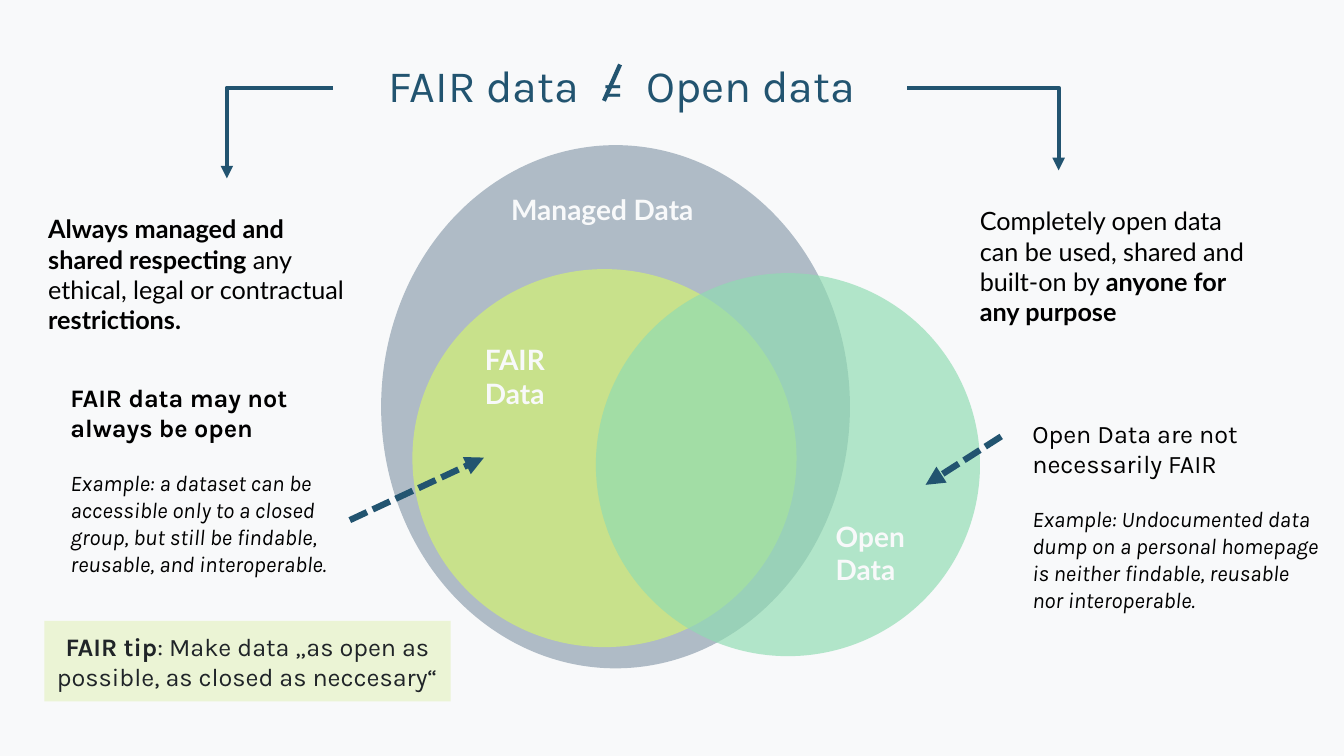
from lxml.etree import SubElement
from pptx import Presentation
from pptx.dml.color import RGBColor
from pptx.enum.dml import MSO_LINE
from pptx.enum.shapes import MSO_CONNECTOR, MSO_SHAPE
from pptx.enum.text import MSO_ANCHOR, MSO_AUTO_SIZE, PP_ALIGN
from pptx.oxml.ns import qn
from pptx.util import Inches, Pt

NAVY, BLACK, PALE = "225470", "000000", "F8F9FA"
PLAIN, BOLD, ITALIC = {}, {"bold": True}, {"italic": True}


def color(hex_text):
    return RGBColor.from_string(hex_text)


class VennSlide:
    def __init__(self, deck):
        self.page = deck.slides.add_slide(deck.slide_layouts[5])
        self.page.background.fill.solid()
        self.page.background.fill.fore_color.rgb = color(PALE)

    def fill_frame(self, frame, paragraphs, size, font, ink, align=PP_ALIGN.LEFT):
        """Fill a frame; each paragraph is a list of (text, style) spans."""
        frame.word_wrap = True
        for index, spans in enumerate(paragraphs):
            para = frame.add_paragraph() if index else frame.paragraphs[0]
            para.alignment = align
            for words, style in spans:
                span = para.add_run()
                span.text = words
                span.font.name = font
                span.font.size = Pt(size)
                span.font.color.rgb = color(ink)
                span.font.bold = style.get("bold", False)
                span.font.italic = style.get("italic", False)

    def title(self, spans, left, top, width, height):
        box = self.page.shapes.title
        box.left, box.top = Inches(left), Inches(top)
        box.width, box.height = Inches(width), Inches(height)
        frame = box.text_frame
        frame.auto_size = MSO_AUTO_SIZE.NONE
        frame.vertical_anchor = MSO_ANCHOR.MIDDLE
        self.fill_frame(frame, [spans], 32, "Karla", NAVY, PP_ALIGN.CENTER)
        frame.paragraphs[0].line_spacing = 0.9
        # Widen the gaps around the equals sign by letter spacing.
        for span in frame.paragraphs[0].runs:
            if span.text == " ":
                span.font._element.set("spc", "800")

    def text(self, paragraphs, left, top, width, height, size=18, font="Lato", ink=BLACK):
        box = self.page.shapes.add_textbox(
            Inches(left), Inches(top), Inches(width), Inches(height))
        self.fill_frame(box.text_frame, paragraphs, size, font, ink)
        box.text_frame.auto_size = MSO_AUTO_SIZE.SHAPE_TO_FIT_TEXT
        return box

    def label(self, lines, left, top, width, height):
        self.text([[(line, BOLD)] for line in lines], left, top, width, height, 20, ink=PALE)

    def remark(self, claim, style, example, left, top, width):
        """A claim with an italic example below it."""
        box = self.text([[(claim, style)], [(example, ITALIC)]],
                        left, top, width, 2.05, font="Karla")
        para = box.text_frame.paragraphs[1]
        para.space_before = Pt(19)
        para.runs[0].font.size = Pt(16)

    def shape(self, kind, fill, left, top, width, height, opacity=100):
        shape = self.page.shapes.add_shape(
            kind, Inches(left), Inches(top), Inches(width), Inches(height))
        shape.shadow.inherit = False
        shape.line.fill.background()
        shape.fill.solid()
        shape.fill.fore_color.rgb = color(fill)
        if opacity < 100:
            tint = shape._element.spPr.find(qn("a:solidFill")).find(qn("a:srgbClr"))
            SubElement(tint, qn("a:alpha"), val=str(opacity * 1000))
        return shape

    def line(self, start, end, width=3, arrow=True, dashed=False, bent=False):
        kind = MSO_CONNECTOR.ELBOW if bent else MSO_CONNECTOR.STRAIGHT
        line = self.page.shapes.add_connector(kind, *map(Inches, start + end))
        line.line.color.rgb = color(NAVY)
        line.line.width = Pt(width)
        if dashed:
            line.line.dash_style = MSO_LINE.SQUARE_DOT
        properties = line._element.spPr
        if bent:
            properties.find(qn("a:prstGeom")).set("prst", "bentConnector2")
        if arrow:
            SubElement(properties.find(qn("a:ln")), qn("a:tailEnd"), type="triangle")
        SubElement(properties, qn("a:effectLst"))


def main():
    deck = Presentation()
    deck.slide_width, deck.slide_height = Inches(13.33), Inches(7.5)
    slide = VennSlide(deck)

    title_words = ["FAIR data", " ", "=", " ", "Open data"]
    slide.title([(words, PLAIN) for words in title_words], 0.42, 0.4, 11.5, 0.94)
    slide.line((6.15, 0.64), (5.99, 1), arrow=False)

    slide.shape(MSO_SHAPE.OVAL, "AFBBC6", 3.78, 1.44, 4.65, 5.19)
    slide.shape(MSO_SHAPE.OVAL, "C8E18B", 4.09, 2.67, 3.81, 3.75)
    slide.shape(MSO_SHAPE.OVAL, "90DCB2", 5.91, 2.71, 3.81, 3.8, opacity=68)
    slide.label(["Managed Data"], 4.97, 1.86, 2.38, 0.44)
    slide.label(["FAIR", "Data"], 4.71, 3.35, 3.61, 0.77)
    slide.label(["Open", "Data"], 8.19, 5.1, 1.79, 0.77)

    slide.text([[("Always managed and shared respecting", BOLD),
                 (" any ethical, legal or contractual ", PLAIN),
                 ("restrictions.", BOLD)]], 0.38, 2.07, 3.21, 1.31)
    slide.text([[("Completely open data can be used, shared and built-on by ", PLAIN),
                 ("anyone for any purpose", BOLD)]], 9.62, 1.99, 3, 1.31)
    slide.remark("FAIR data may not always be open", BOLD,
                 "Example: a dataset can be accessible only to a closed group, "
                 "but still be findable, reusable, and interoperable.", 0.6, 3.74, 2.89)
    slide.remark("Open Data are not necessarily FAIR", PLAIN,
                 "Example: Undocumented data dump on a personal homepage "
                 "is neither findable, reusable nor interoperable.", 10.14, 4.1, 3.08)

    slide.line((3.47, 5.16), (4.8, 4.54), 4.5, dashed=True)
    slide.line((9.93, 4.33), (9.18, 4.81), 4.5, dashed=True)
    slide.line((3.3, 0.87), (2.25, 1.77), bent=True)
    slide.line((9, 0.87), (10.5, 1.69), bent=True)

    tip = slide.shape(MSO_SHAPE.RECTANGLE, "EBF4D5", 0.44, 6.16, 4.03, 0.8)
    tip.text_frame.vertical_anchor = MSO_ANCHOR.MIDDLE
    slide.fill_frame(tip.text_frame, [[
        ("FAIR tip", BOLD),
        (": Make data „as open as possible, as closed as neccesary“", PLAIN),
    ]], 18, "Karla", "202428", PP_ALIGN.CENTER)

    deck.save("out.pptx")


if __name__ == "__main__":
    main()
